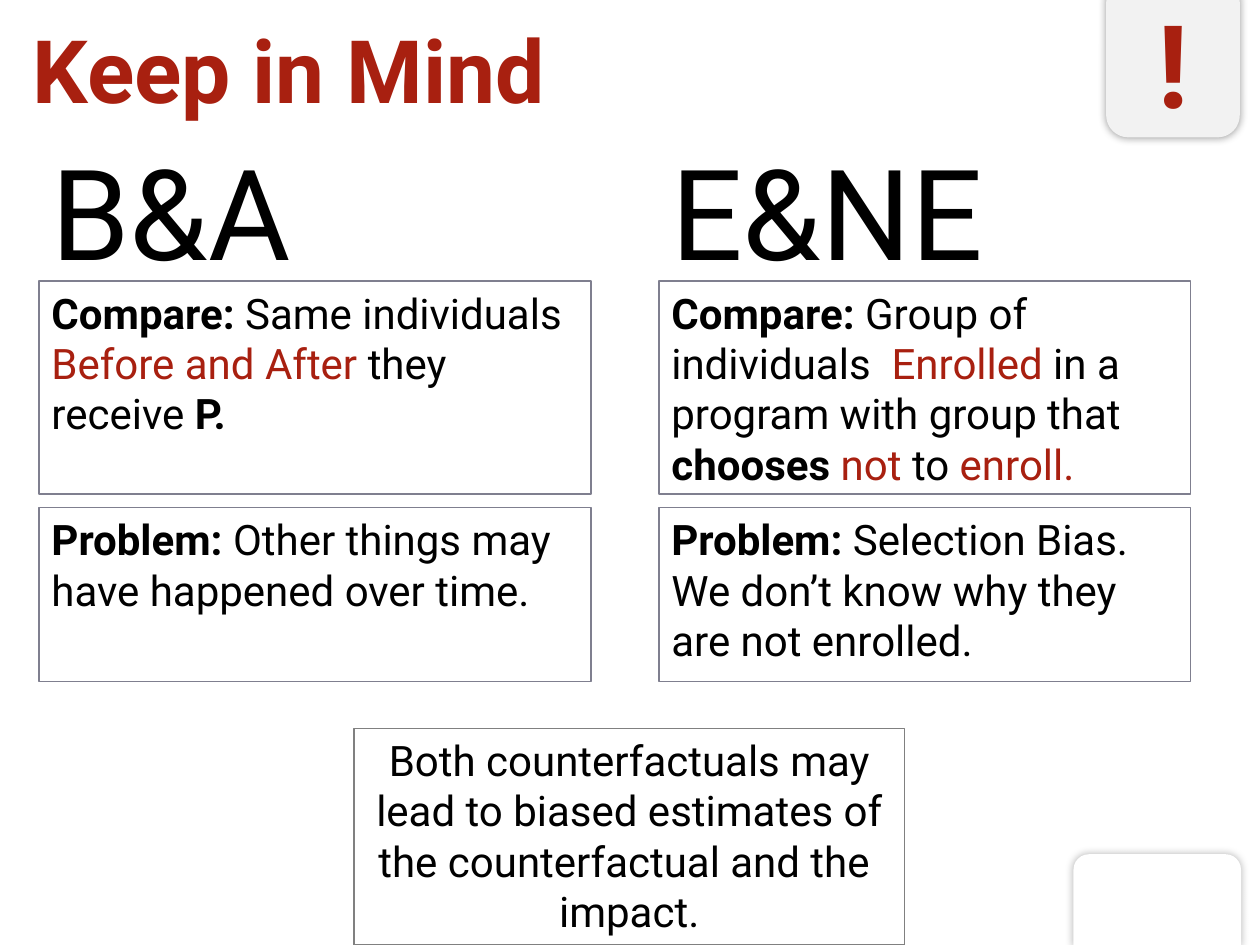
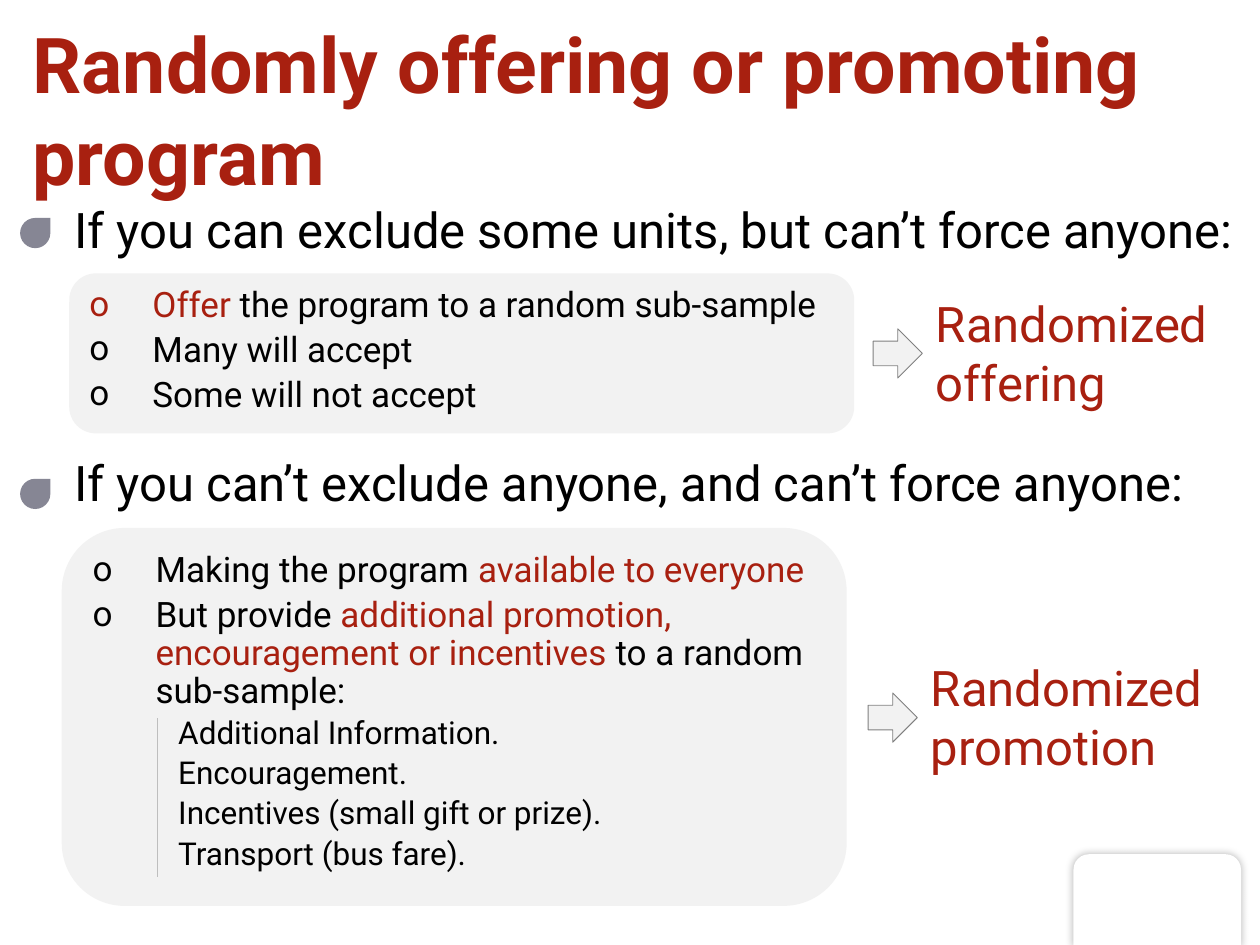
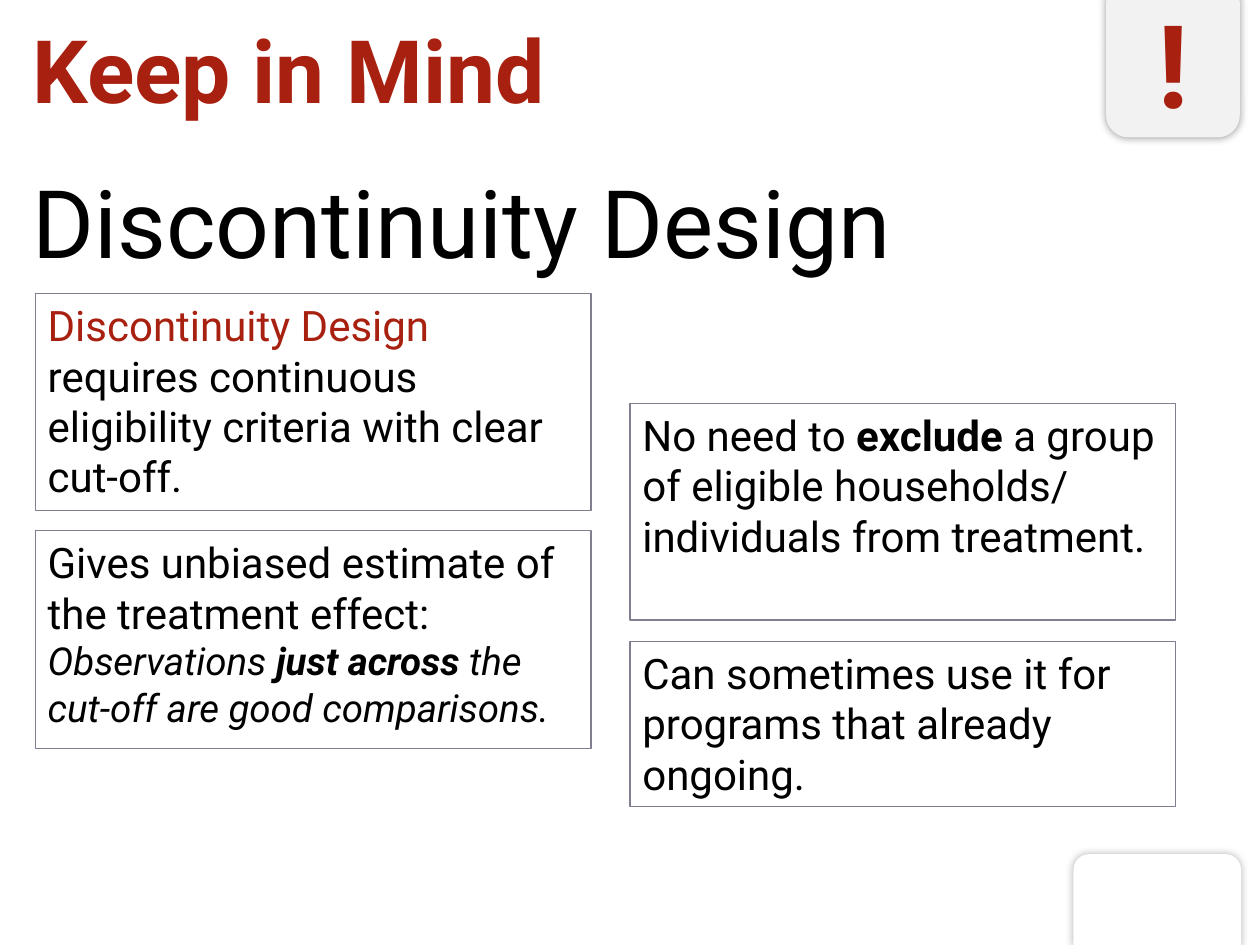
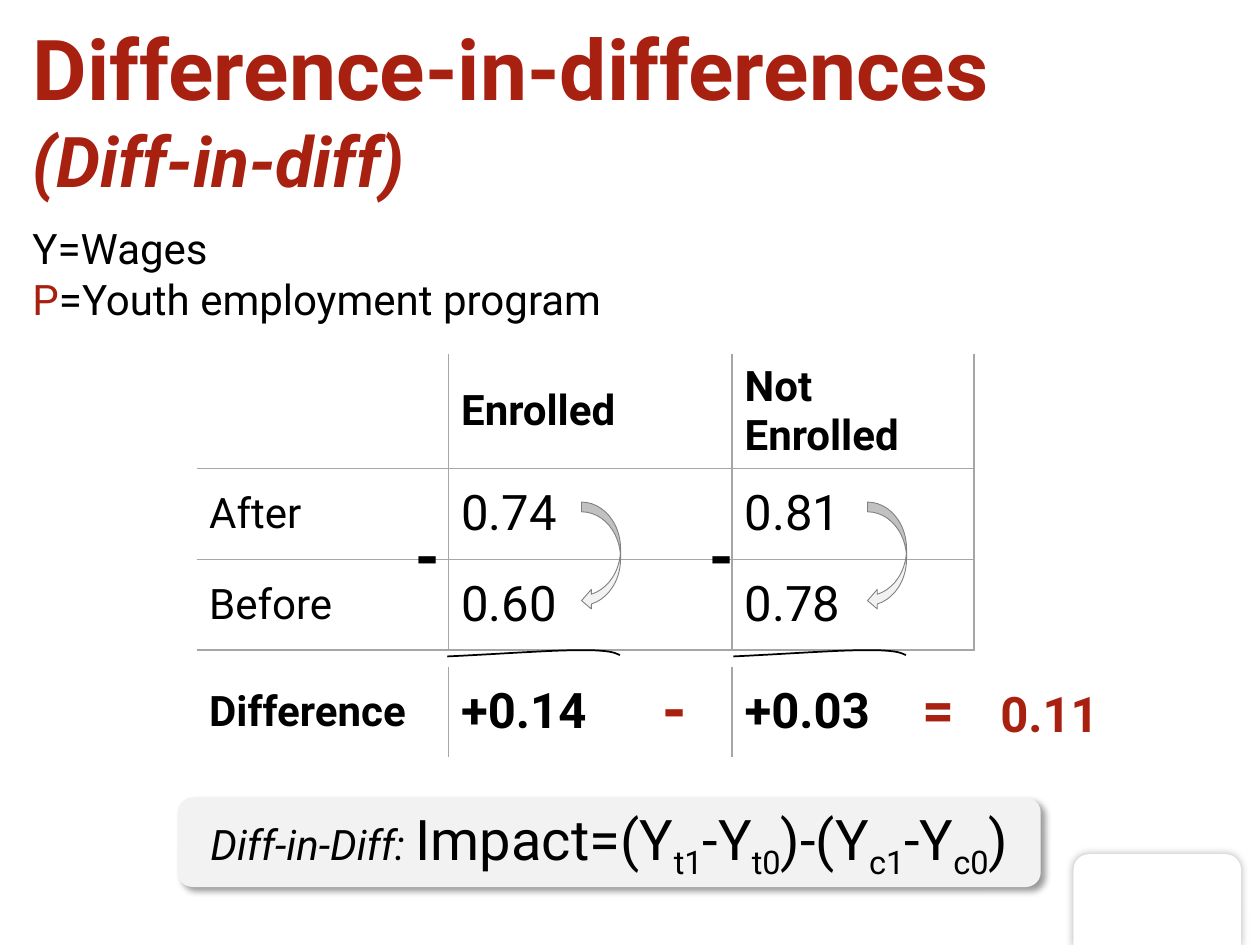
from typing import NamedTuple

from lxml.etree import SubElement
from pptx import Presentation
from pptx.dml.color import RGBColor
from pptx.enum.shapes import MSO_CONNECTOR, MSO_SHAPE as SHAPE
from pptx.enum.text import MSO_ANCHOR as ANCHOR, PP_ALIGN as ALIGN
from pptx.oxml.ns import qn
from pptx.util import Pt

PX = 9144
FONT = "Roboto"
COLORS = {
    "ink": "000000",
    "red": "A82010",
    "panel": "F2F2F2",
    "white": "FFFFFF",
    "frame": "7F7F8F",
    "outline": "808080",
    "drop": "868694",
    "rule": "BEBEBE",
    "grid": "A6A6A6",
}


class Run(NamedTuple):
    """Hold one stretch of text and its look."""
    text: str
    color: str = "ink"
    size: int = 24
    bold: bool = False
    italic: bool = False
    sub: bool = False


class Para(NamedTuple):
    """Hold the runs of one paragraph and its list settings."""
    runs: list
    level: int = 0
    margin: int = 0
    indent: int = 0
    bullet: str = ""
    before: float = 0
    spacing: float = 1.0


def bold(text, **look):
    """Return a bold run."""
    return Run(text, bold=True, **look)


def red(text, **look):
    """Return a red run."""
    return Run(text, "red", **look)


def emu(*lengths):
    """Turn px lengths into EMU."""
    return [v * PX for v in lengths]


def rgb(name):
    """Look up a named colour."""
    return RGBColor.from_string(COLORS[name])


def add_run(p, run):
    """Add one run, splitting it at line breaks."""
    for i, part in enumerate(run.text.split("\n")):
        if i:
            p.add_line_break()
        if not part:
            continue
        r = p.add_run()
        r.text = part
        font = r.font
        font.name, font.size = FONT, Pt(run.size)
        font.bold, font.italic = run.bold, run.italic
        font.color.rgb = rgb(run.color)
        if run.sub:
            r._r.get_or_add_rPr().set("baseline", "-25000")


def write(tf, paras, align=ALIGN.LEFT):
    """Fill a text frame; a plain list of runs counts as one paragraph."""
    for i, para in enumerate(paras):
        para = para if isinstance(para, Para) else Para(para)
        p = tf.paragraphs[0] if i == 0 else tf.add_paragraph()
        p.alignment, p.level = align, para.level
        p.line_spacing = para.spacing
        p.space_before = Pt(para.before if i else 0)
        pPr = p._p.get_or_add_pPr()
        pPr.set("marL", str(para.margin * PX))
        pPr.set("indent", str(para.indent * PX))
        if para.bullet:
            SubElement(pPr, qn("a:buFont"), typeface=FONT)
            SubElement(pPr, qn("a:buChar"), char=para.bullet)
        else:
            SubElement(pPr, qn("a:buNone"))
        for run in para.runs:
            add_run(p, run)


def add_text(s, box, paras, wrap=True, anchor=ANCHOR.TOP):
    """Add a text box."""
    tf = s.shapes.add_textbox(*emu(*box)).text_frame
    tf.word_wrap, tf.vertical_anchor = wrap, anchor
    write(tf, paras)


def add_box(s, kind, box, fill=None, line=None, width=0.75, paras=(),
            align=ALIGN.LEFT, anchor=ANCHOR.TOP):
    """Add a preset shape with optional fill, line and text."""
    sp = s.shapes.add_shape(kind, *emu(*box))
    sp.shadow.inherit = False
    if fill:
        sp.fill.solid()
        sp.fill.fore_color.rgb = rgb(fill)
    else:
        sp.fill.background()
    if line:
        sp.line.color.rgb = rgb(line)
        sp.line.width = Pt(width)
    else:
        sp.line.fill.background()
    tf = sp.text_frame
    tf.word_wrap, tf.vertical_anchor = True, anchor
    write(tf, paras, align)
    return sp


def add_shadow(sp, alpha, blur, dist=0, angle=0):
    """Give a shape a soft black outer shadow."""
    effects = sp._element.spPr.find(qn("a:effectLst"))
    shadow = SubElement(effects, qn("a:outerShdw"), blurRad=str(Pt(blur)),
                        dist=str(Pt(dist)), dir=str(angle * 60000),
                        algn="ctr", rotWithShape="0")
    color = SubElement(shadow, qn("a:srgbClr"), val=COLORS["ink"])
    SubElement(color, qn("a:alpha"), val=str(alpha * 1000))


def new_slide(prs, title, width=969):
    """Start a slide with the corner tab and the red title."""
    s = prs.slides.add_slide(prs.slide_layouts[6])
    tab = add_box(s, SHAPE.ROUND_2_SAME_RECTANGLE, (852, 678, 133, 73), "white")
    add_shadow(tab, 30, 5)
    add_text(s, (16, 8, width, 94), [title])
    return s


def keep_in_mind(prs):
    """Start a Keep in Mind slide with its exclamation tab."""
    s = new_slide(prs, [bold("Keep in Mind", color="red", size=50)], 836)
    tab = add_box(s, SHAPE.ROUNDED_RECTANGLE, (878, -16, 106, 125), "panel",
                  paras=[[bold("!", color="red", size=66)]], align=ALIGN.CENTER)
    add_shadow(tab, 40, 5)
    return s


def framed_column(s, box, heights, gap, notes):
    """Stack framed notes downward from the top of a box."""
    x, y, w = box
    for h, runs in zip(heights, notes):
        add_box(s, SHAPE.RECTANGLE, (x, y, w, h), line="frame", paras=[runs])
        y += h + gap


def method_column(s, box, heading, notes):
    """Place a method's big heading above its two notes."""
    x, y, w = box
    add_text(s, (x, y, 285, 131), [[Run(heading, size=72)]], wrap=False)
    framed_column(s, (x, y + 121, w), (169, 138), 11, notes)


def comparison_slide(prs):
    """Build the slide that sets B&A against E&NE."""
    s = keep_in_mind(prs)
    method_column(s, (31, 102, 438), "B&A", [
        [bold("Compare: "), Run("Same individuals "), red("Before and After"),
         Run(" they receive "), bold("P.")],
        [bold("Problem: "), Run("Other things may have happened over time.")],
    ])
    method_column(s, (523, 102, 422), "E&NE", [
        [bold("Compare: "), Run("Group of individuals  "), red("Enrolled"),
         Run(" in a program with group that "), bold("chooses "), red("not"),
         Run(" to "), red("enroll.")],
        [bold("Problem: "),
         Run("Selection Bias. We don’t know why they are not enrolled.")],
    ])
    add_box(s, SHAPE.RECTANGLE, (281, 578, 437, 172), "white", "outline",
            align=ALIGN.CENTER,
            paras=[[Run("Both counterfactuals may lead to biased estimates of "
                        "the counterfactual and the  impact.")]])


def point(*runs):
    """Return a bulleted list item."""
    return Para(list(runs), 1, 50, -50, "o", 4, 0.9)


def subpoint(text):
    """Return an item of the inner list."""
    return Para([Run(text, size=18)], 2, 69, -1, "", 3.6, 0.9)


def case_section(s, box, drop_y, heading, panel, items, result):
    """Place a case: heading, panel of points, arrow and result."""
    x, y, w = box
    px, py, pw, ph = panel
    rx, ry, rw, words = result
    add_box(s, SHAPE.TEAR, (x - 33, y + drop_y, 24, 24), "drop")
    add_text(s, (x, y, w, 53), [Para([Run(heading, size=28)], spacing=0.9)],
             anchor=ANCHOR.MIDDLE)
    add_box(s, SHAPE.ROUNDED_RECTANGLE, (x + px, y + py, pw, ph), "panel",
            paras=items)
    add_box(s, SHAPE.RIGHT_ARROW, (x + rx - 40, y + ry + 33, 39, 39),
            "panel", "outline", 0.5)
    add_text(s, (x + rx, y + ry, rw, 104), [[red(words, size=28)]])


def offering_slide(prs):
    """Build the slide on random offering and promotion."""
    s = new_slide(prs, [bold("Randomly offering or promoting program",
                             color="red", size=44)])
    case_section(
        s, (49, 158, 951), 15,
        "If you can exclude some units, but can’t force anyone:",
        (6, 59, 623, 127),
        [point(red("Offer ", size=20),
               Run("the program to a random sub-sample", size=20)),
         point(Run("Many will accept", size=20)),
         point(Run("Some will not accept", size=20))],
        (684, 70, 255, "Randomized offering"))
    case_section(
        s, (49, 359, 929), 21,
        "If you can’t exclude anyone, and can’t force anyone:",
        (0, 60, 623, 300),
        [point(Run("Making the program ", size=20),
               red("available to everyone", size=20)),
         point(Run("But provide ", size=20),
               red("additional promotion, encouragement or incentives ", size=20),
               Run("to a random sub-sample:", size=20)),
         subpoint("Additional Information."),
         subpoint("Encouragement."),
         subpoint("Incentives (small gift or prize)."),
         subpoint("Transport (bus fare).")],
        (680, 158, 240, "Randomized promotion"))
    rule = s.shapes.add_connector(MSO_CONNECTOR.STRAIGHT,
                                  *emu(125, 570, 125, 696))
    rule.line.color.rgb = rgb("rule")
    rule.line.width = Pt(0.75)
    SubElement(rule._element.spPr, qn("a:effectLst"))


def discontinuity_slide(prs):
    """Build the slide on discontinuity design."""
    s = keep_in_mind(prs)
    add_text(s, (16, 125, 707, 101), [[Run("Discontinuity Design", size=54)]],
             wrap=False)
    framed_column(s, (28, 233, 441), (172, 173), 16, [
        [red("Discontinuity Design "),
         Run("requires continuous eligibility criteria with clear cut-off.")],
        [Run("Gives unbiased estimate of the treatment effect: "),
         Run("Observations ", size=22, italic=True),
         bold("just across ", size=22, italic=True),
         Run("the cut-off are good comparisons.", size=22, italic=True)],
    ])
    framed_column(s, (500, 320, 433), (172, 131), 17, [
        [Run("No need to "), bold("exclude"),
         Run(" a group of eligible households/ individuals from treatment.")],
        [Run("Can sometimes use it for programs that already ongoing.")],
    ])


def set_borders(cell, sides):
    """Draw the given cell sides in grey and hide the others."""
    tcPr = cell._tc.get_or_add_tcPr()
    for i, side in enumerate("LRTB"):
        ln = SubElement(tcPr, qn(f"a:ln{side}"), w=str(Pt(1)))
        if side in sides:
            fill = SubElement(ln, qn("a:solidFill"))
            SubElement(fill, qn("a:srgbClr"), val=COLORS["grid"])
        else:
            SubElement(ln, qn("a:noFill"))
        tcPr.remove(ln)
        tcPr.insert(i, ln)


def wage_table(s, at, heights, rows, framed):
    """Add a grid of runs; a framed one also has right and bottom edges."""
    widths = (200, 225, 192)
    tb = s.shapes.add_table(len(rows), len(widths),
                            *emu(*at, sum(widths), sum(heights))).table
    tb.first_row = tb.horz_banding = False
    for col, w in zip(tb.columns, widths):
        col.width = w * PX
    for i, (h, runs) in enumerate(zip(heights, rows)):
        tb.rows[i].height = h * PX
        for j, run in enumerate(runs):
            cell = tb.cell(i, j)
            cell.fill.background()
            cell.vertical_anchor = ANCHOR.MIDDLE
            write(cell.text_frame, [[run] if run else []])
            set_borders(cell, ("L" if j else "")
                        + ("R" if framed or j < len(widths) - 1 else "")
                        + ("T" if i else "") + ("B" if framed else ""))


def bezier(a, b, c, d, steps=10):
    """Sample a cubic curve after its first point."""
    for k in range(1, steps + 1):
        t = k / steps
        u = 1 - t
        yield tuple(u**3 * m + 3 * u * u * t * n + 3 * u * t * t * o + t**3 * q
                    for m, n, o, q in zip(a, b, c, d))


def subtraction_marks(s, at, minus_x):
    """Place the minus, sum stroke and curved arrow of one column."""
    x, y = at
    add_text(s, (x + minus_x, y - 94, 41, 35), [[bold("-", size=36)]],
             wrap=False, anchor=ANCHOR.MIDDLE)
    knots = [(x + dx, y + dy) for dx, dy in
             ((0, 5), (42, 3), (83, 0), (106, 0), (129, 0), (133, 2), (137, 4))]
    points = [*bezier(*knots[:4]), *bezier(*knots[3:])]
    fb = s.shapes.build_freeform(*emu(*knots[0]))
    fb.add_line_segments([emu(*pt) for pt in points], close=False)
    stroke = fb.convert_to_shape()
    stroke.shadow.inherit = False
    stroke.fill.background()
    stroke.line.color.rgb = rgb("ink")
    stroke.line.width = Pt(1)
    arrow = add_box(s, SHAPE.CURVED_DOWN_ARROW, (x + 79, y - 90, 86, 31),
                    "panel", "outline", 0.5)
    arrow.rotation = 90


def formula(s, box):
    """Place the shaded impact formula."""
    runs = [Run("Diff-in-Diff: ", italic=True)]
    for text, sub in (("Impact=(Y", "t1"), ("-Y", "t0"),
                      (")-(Y", "c1"), ("-Y", "c0")):
        runs += [Run(text, size=32), Run(sub, size=32, sub=True)]
    runs.append(Run(")", size=32))
    sp = add_box(s, SHAPE.ROUNDED_RECTANGLE, box, "panel", paras=[runs],
                 align=ALIGN.CENTER, anchor=ANCHOR.MIDDLE)
    add_shadow(sp, 40, 4, 3, 45)


def difference_slide(prs):
    """Build the difference-in-differences slide."""
    s = new_slide(prs, [bold("Difference-in-differences \n", color="red", size=48),
                        bold("(Diff-in-diff)", color="red", size=40, italic=True)])
    add_text(s, (16, 172, 586, 91),
             [[Run("Y=Wages")], [red("P"), Run("=Youth employment program")]])
    formula(s, (141, 633, 685, 71))
    wage_table(s, (156, 281), (91, 72, 72), [
        (None, bold("Enrolled"), bold("Not Enrolled")),
        (Run("After"), Run("0.74", size=28), Run("0.81", size=28)),
        (Run("Before"), Run("0.60", size=28), Run("0.78", size=28)),
    ], framed=True)
    wage_table(s, (156, 529), (72,), [
        (bold("Difference"), bold("+0.14", size=28), bold("+0.03", size=28)),
    ], framed=False)
    subtraction_marks(s, (355, 516), -35)
    subtraction_marks(s, (582, 516), -29)
    for box, text, size in (((516, 526, 41, 71), "-", 36),
                            ((722, 530, 52, 64), "=", 32),
                            ((784, 537, 99, 57), "0.11", 28)):
        add_text(s, box, [[bold(text, color="red", size=size)]], wrap=False,
                 anchor=ANCHOR.MIDDLE)


def main():
    """Build the deck and save it."""
    prs = Presentation()
    prs.slide_width, prs.slide_height = emu(1000, 750)
    comparison_slide(prs)
    offering_slide(prs)
    discontinuity_slide(prs)
    difference_slide(prs)
    prs.save("out.pptx")


if __name__ == "__main__":
    main()
